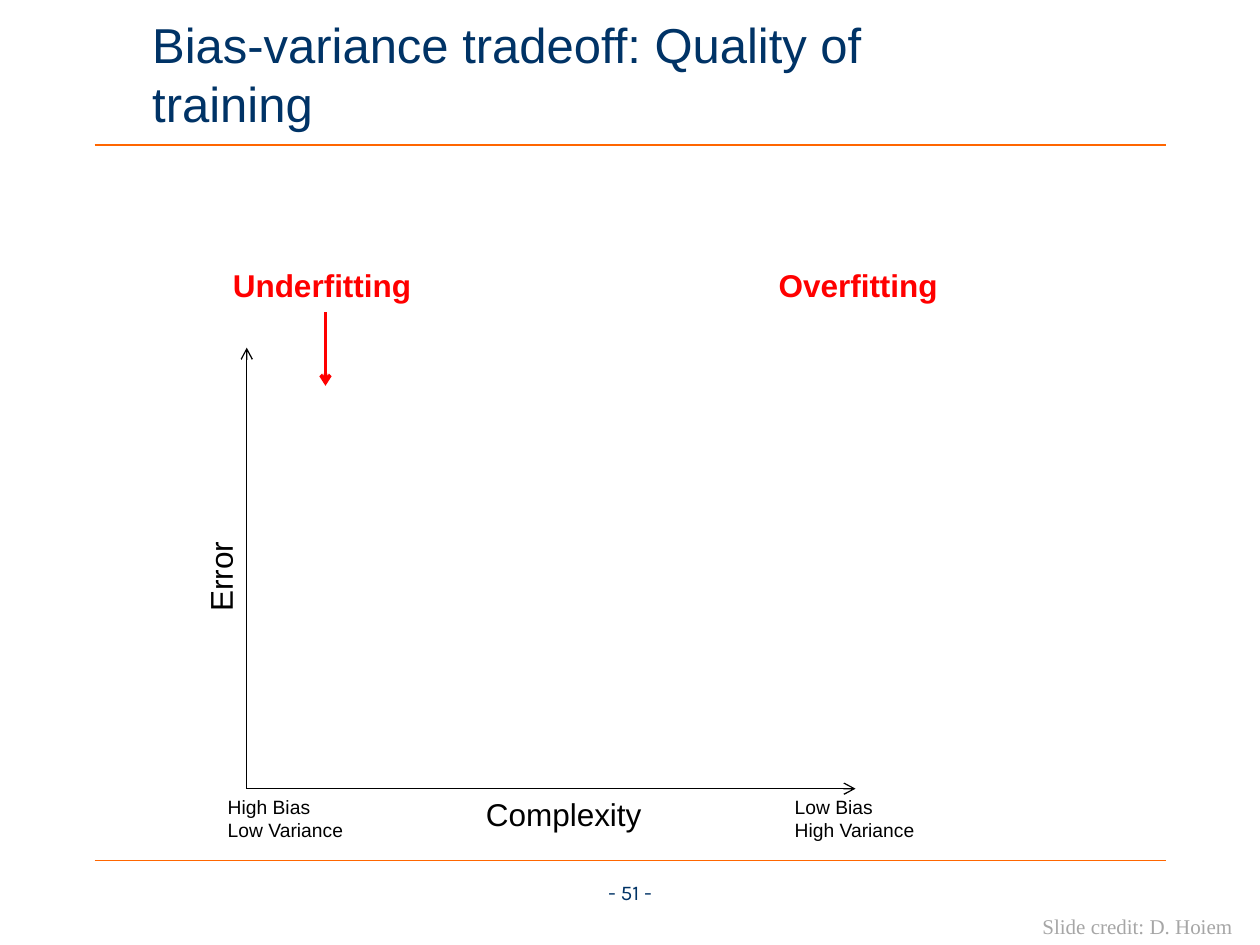
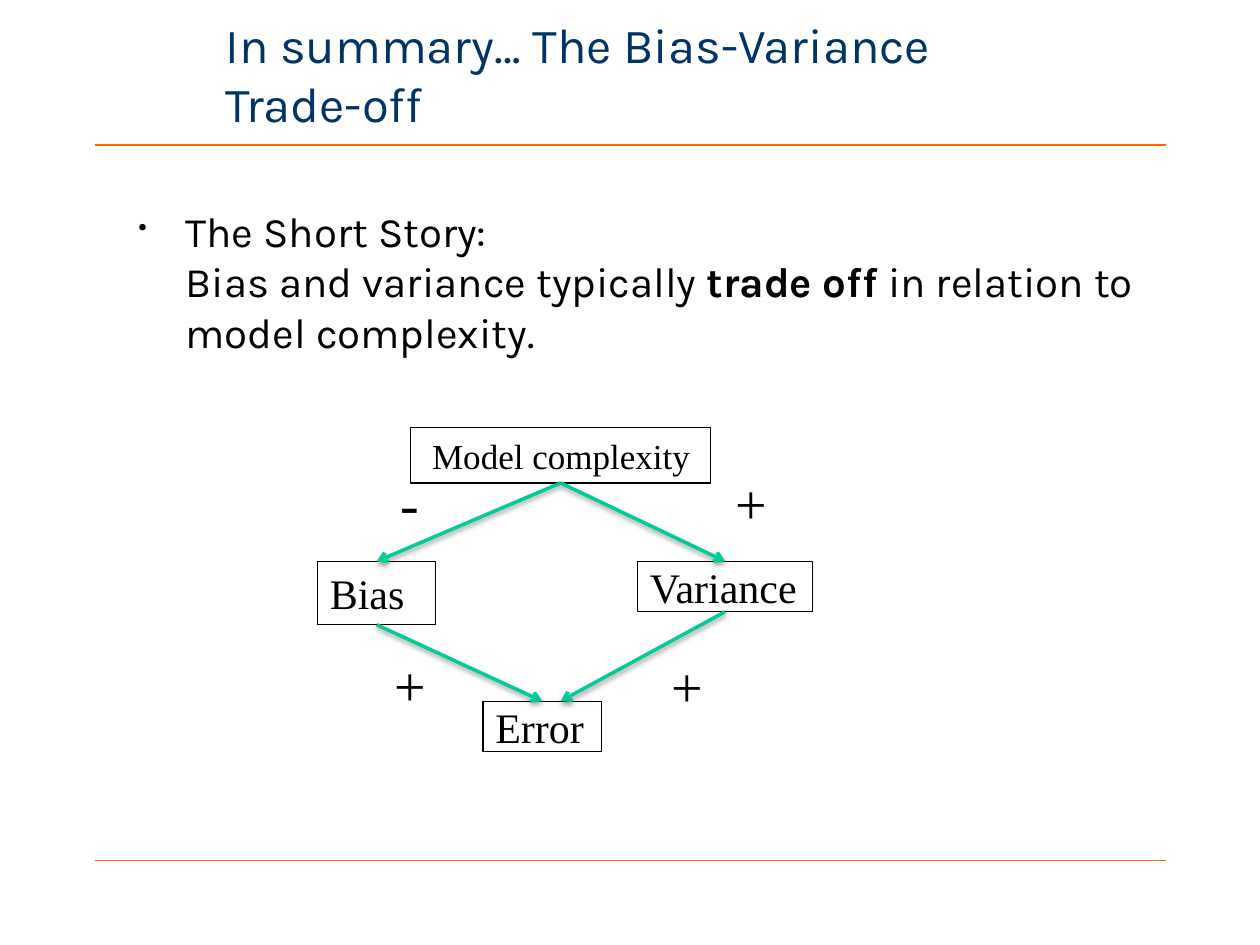
from typing import NamedTuple

from lxml import etree
from pptx import Presentation
from pptx.dml.color import RGBColor
from pptx.enum.shapes import MSO_CONNECTOR, MSO_SHAPE
from pptx.enum.text import MSO_ANCHOR, PP_ALIGN
from pptx.oxml import parse_xml
from pptx.oxml.ns import qn
from pptx.util import Pt

STRAIGHT = MSO_CONNECTOR.STRAIGHT
RECT = MSO_SHAPE.RECTANGLE
TOP, MIDDLE = MSO_ANCHOR.TOP, MSO_ANCHOR.MIDDLE
LEFT, CENTER = PP_ALIGN.LEFT, PP_ALIGN.CENTER

SANS, SERIF, KARLA = "Arial", "Times New Roman", "Karla"
BLACK, NAVY, ORANGE = "000000", "003366", "FF6600"
RED, GREEN, GRAY = "FF0000", "00CC99", "A6A6A6"
INSETS = (7.2, 3.6, 7.2, 3.6)
SPACE = 'xmlns:a="http://schemas.openxmlformats.org/drawingml/2006/main"'
SHADOW = (
    f'<a:effectLst {SPACE}><a:outerShdw blurRad="{Pt(3.1)}" dist="{Pt(1.6)}" '
    'dir="5400000" rotWithShape="0"><a:srgbClr val="000000">'
    '<a:alpha val="38000"/></a:srgbClr></a:outerShdw></a:effectLst>'
)


class Box(NamedTuple):
    x: float
    y: float
    w: float
    h: float

    @property
    def top(self) -> tuple[float, float]:
        return self.x + self.w / 2, self.y

    @property
    def base(self) -> tuple[float, float]:
        return self.x + self.w / 2, self.y + self.h


class Label(NamedTuple):
    text: str
    box: Box
    size: float = 18
    color: str = BLACK
    bold: bool = False
    turn: float = 0


class Node(NamedTuple):
    text: str
    box: Box
    size: float = 24
    inset: float = 7.2


def paint(code: str) -> RGBColor:
    return RGBColor.from_string(code)


def place(box: Box) -> list:
    return [Pt(side) for side in box]


def write(shape, text: str, *, size: float, font: str = SANS, color: str = BLACK,
          bold: bool = False, align=LEFT, anchor=TOP, wrap: bool = True,
          insets: tuple = INSETS) -> None:
    """Newlines part paragraphs, \\v breaks a line, ** toggles bold."""
    frame = shape.text_frame
    frame.word_wrap = wrap
    frame.vertical_anchor = anchor
    (frame.margin_left, frame.margin_top,
     frame.margin_right, frame.margin_bottom) = [Pt(i) for i in insets]
    for row, line in enumerate(text.split("\n")):
        para = frame.add_paragraph() if row else frame.paragraphs[0]
        para.alignment = align
        for turn, part in enumerate(line.split("**")):
            for count, piece in enumerate(part.split("\v")):
                if count:
                    para.add_line_break()
                run = para.add_run()
                run.text = piece
                run.font.size = Pt(size)
                run.font.name = font
                run.font.bold = bold or turn % 2 == 1
                run.font.color.rgb = paint(color)


def add_text(slide, box: Box, text: str, **style):
    shape = slide.shapes.add_textbox(*place(box))
    write(shape, text, **style)
    return shape


def add_line(slide, start: tuple, end: tuple, color: str, width: float = 0.75,
             arrow: bool = False, shadow: bool = False) -> None:
    ends = [Pt(value) for value in (*start, *end)]
    line = slide.shapes.add_connector(STRAIGHT, *ends)
    line.line.color.rgb = paint(color)
    line.line.width = Pt(width)
    props = line._element.spPr
    if arrow:
        etree.SubElement(props.find(qn("a:ln")), qn("a:tailEnd"), type="arrow")
    props.append(parse_xml(SHADOW if shadow else f"<a:effectLst {SPACE}/>"))


def add_label(slide, label: Label) -> None:
    shape = add_text(slide, label.box, label.text, size=label.size,
                     color=label.color, bold=label.bold, wrap=False)
    shape.rotation = label.turn


def add_node(slide, node: Node) -> None:
    shape = slide.shapes.add_shape(RECT, *place(node.box))
    shape.shadow.inherit = False
    shape.fill.background()
    shape.line.color.rgb = paint(BLACK)
    shape.line.width = Pt(0.75)
    write(shape, node.text, size=node.size, font=SERIF, anchor=MIDDLE,
          insets=(node.inset, 0, 0, 0))


def add_bullet(shape, indent: float) -> None:
    props = shape.text_frame.paragraphs[0]._p.get_or_add_pPr()
    props.set("marL", str(Pt(indent)))
    props.set("indent", str(-Pt(indent)))
    etree.SubElement(props, qn("a:buSzPct"), val="60000")
    etree.SubElement(props, qn("a:buChar"), char="•")


def new_slide(deck, title: str, left: float, font: str):
    """Blank slide with the shared rules and title style."""
    slide = deck.slides.add_slide(deck.slide_layouts[6])
    for y in (491.8, 82.8):
        add_line(slide, (54, y), (666, y), ORANGE)
    add_text(slide, Box(left, 9, 447, 66.2), title, size=28, font=font,
             color=NAVY, anchor=MIDDLE, insets=(7.2, 0, 7.2, 0))
    return slide


def draw_fit(deck) -> None:
    slide = new_slide(deck, "Bias-variance tradeoff: Quality of training", 79.9, SANS)

    # Axes
    origin = (141, 450.7)
    for tip in ((141, 198.7), (488.9, 450.7)):
        add_line(slide, origin, tip, BLACK, arrow=True)

    # Axis names and fit labels
    labels = (
        Label("Underfitting", Box(126, 148.5, 117.4, 28.8), color=RED, bold=True),
        Label("Overfitting", Box(437.8, 148.5, 106.6, 28.8), color=RED, bold=True),
        Label("Complexity", Box(270.5, 450.7, 104.4, 28.8)),
        Label("Error", Box(98.6, 314.8, 54.7, 28.8), turn=270),
        Label("Low Bias\nHigh Variance", Box(447, 450.7, 84.2, 33.8), size=11),
        Label("High Bias\nLow Variance", Box(123, 450.7, 82, 33.8), size=11),
    )
    for label in labels:
        add_label(slide, label)
    add_line(slide, (186, 178.5), (186, 220.5), RED, 2, arrow=True)

    # Footer
    add_text(slide, Box(588.6, 518.4, 131, 21.6), "Slide credit: D. Hoiem",
             size=12, font=SERIF, color=GRAY, wrap=False)
    add_text(slide, Box(321.8, 499, 76.4, 18), "- 51 -", size=12, font=KARLA,
             color=NAVY, align=CENTER)


def draw_story(deck) -> None:
    slide = new_slide(deck, "In summary… The Bias-Variance Trade-off", 121.7, KARLA)
    story = add_text(
        slide, Box(72, 113.8, 612, 149.8),
        "The Short Story:\vBias and variance typically **trade off **"
        "in relation to model complexity.",
        size=24, font=KARLA)
    add_bullet(story, 27)

    # Cause and effect boxes
    model = Node("Model complexity", Box(234.7, 244.3, 171.4, 31.7), 20, 12.2)
    bias = Node("Bias", Box(181.4, 320.8, 67.7, 36.2))
    spread = Node("Variance", Box(364.3, 320.8, 100.1, 28.8))
    error = Node("Error", Box(276, 400.7, 67.7, 28.8))
    for node in (model, bias, spread, error):
        add_node(slide, node)

    # Arrows between the boxes
    links = (
        (model.box.base, bias.box.top),
        (model.box.base, spread.box.top),
        (bias.box.base, error.box.top),
        (spread.box.base, (model.box.base[0], error.box.y)),
    )
    for start, end in links:
        add_line(slide, start, end, GREEN, 2, arrow=True, shadow=True)

    # Signs beside the arrows
    signs = (("-", 222, 264.2), ("+", 413.3, 264.2),
             ("+", 376.6, 368.6), ("+", 218.2, 367.9))
    for sign, x, y in signs:
        add_text(slide, Box(x, y, 32, 46), sign, size=32, font=SERIF)


def main() -> None:
    deck = Presentation()
    deck.slide_width, deck.slide_height = Pt(720), Pt(540)
    draw_fit(deck)
    draw_story(deck)
    deck.save("out.pptx")


if __name__ == "__main__":
    main()
